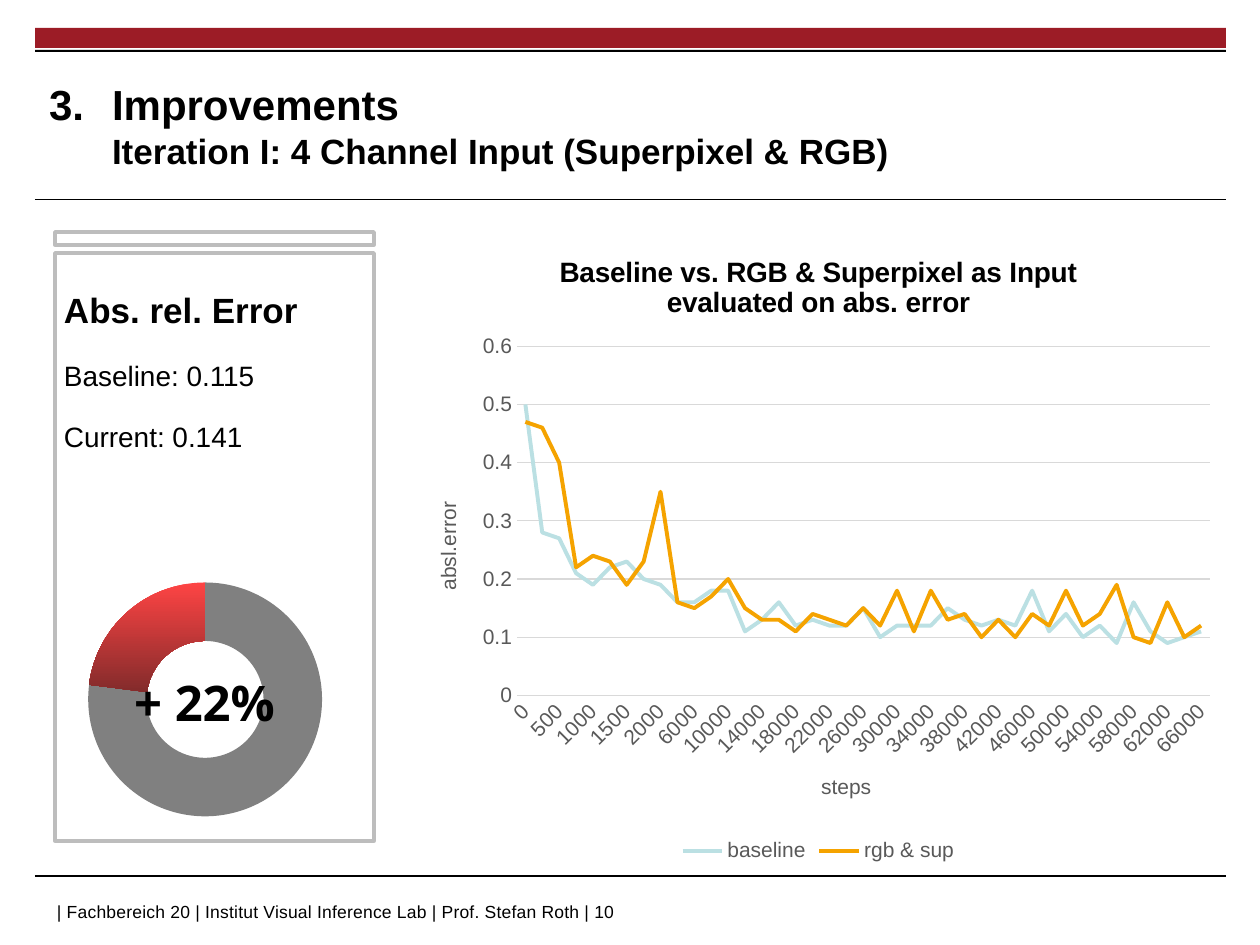
import lxml.etree
import pptx
import pptx.chart.data
import pptx.dml.color
import pptx.enum.chart
import pptx.enum.shapes
import pptx.enum.text
import pptx.oxml.ns
import pptx.util


class Theme:
    red, black, white = "9C1C26", "000000", "FFFFFF"
    frame, ring, grid, label = "BDBDBD", "808080", "D9D9D9", "595959"
    base, sup = "BBE0E3", "F5A300"
    glow, dark = "FE4444", "832B2B"
    face, bold_face = "Arial", "Open Sans"
    head, sub, body, axis, foot, big = 24, 20, 16, 12, 10, 28


px = 914400 / 126
qn = pptx.oxml.ns.qn
Pt = pptx.util.Pt
rgb = pptx.dml.color.RGBColor.from_string
kinds = pptx.enum.chart.XL_CHART_TYPE
rect = pptx.enum.shapes.MSO_SHAPE.RECTANGLE
top, mid = pptx.enum.text.MSO_ANCHOR.TOP, pptx.enum.text.MSO_ANCHOR.MIDDLE


def style(font, size, color=Theme.black, bold=False, face=Theme.face):
    font.size, font.bold, font.name = Pt(size), bold, face
    font.color.rgb = rgb(color)


def place(chart, *parts):
    area = chart._chartSpace.chart.plotArea
    for old in area.findall(qn("c:layout")):
        area.remove(old)
    plan = lxml.etree.Element(qn("c:layout"))
    area.insert(0, plan)
    node = lxml.etree.SubElement(plan, qn("c:manualLayout"))
    tags = ("layoutTarget", "xMode", "yMode", "x", "y", "w", "h")
    for tag, val in zip(tags, ("inner", "edge", "edge") + parts):
        lxml.etree.SubElement(node, qn("c:" + tag)).set("val", str(val))


deck = pptx.Presentation()
deck.slide_width, deck.slide_height = int(1260 * px), int(945 * px)
slide = deck.slides.add_slide(deck.slide_layouts[6])
shapes = slide.shapes

group = shapes.add_group_shape()
for home, spot, fill, edge in (
    (shapes, (35, 28, 1191, 20), Theme.red, None),
    (shapes, (35, 50, 1191, 2), Theme.black, None),
    (group.shapes, (55, 253, 319, 588), Theme.white, Theme.frame),
    (group.shapes, (55, 232, 319, 13), Theme.white, Theme.frame),
):
    box = home.add_shape(rect, *(int(n * px) for n in spot))
    box.shadow.inherit = False
    box.fill.solid()
    box.fill.fore_color.rgb = rgb(fill)
    if edge:
        box.line.color.rgb = rgb(edge)
        box.line.width = Pt(2)
    else:
        box.line.fill.background()

for y in (200, 876):
    ends = (int(n * px) for n in (35, y, 1226, y))
    rule = shapes.add_connector(pptx.enum.shapes.MSO_CONNECTOR.STRAIGHT, *ends)
    rule.line.color.rgb = rgb(Theme.black)
    rule.line.width = Pt(0.6)
    lxml.etree.SubElement(rule._element.spPr, qn("a:effectLst"))

data = pptx.chart.data.CategoryChartData()
data.categories = ["1", "2"]
data.add_series("Series 1", (77, 23))
spot = (int(n * px) for n in (34, 517, 339, 323))
ring = shapes.add_chart(kinds.DOUGHNUT, *spot, data).chart
style(ring.font, Theme.foot)
ring.has_legend = ring.has_title = False
place(ring, 0.16, 0.14, 0.69, 0.87)
ring.plots[0]._element.find(qn("c:holeSize")).set("val", "80")
rest, share = (ring.plots[0].series[0].points[i].format for i in range(2))
rest.fill.solid()
rest.fill.fore_color.rgb = rgb(Theme.ring)
share.fill.gradient()
share.fill.gradient_angle = 270
for stop, color, pos in zip(share.fill.gradient_stops, (Theme.glow, Theme.dark), (0, 1)):
    stop.color.rgb = rgb(color)
    stop.position = pos
for part in (rest, share):
    part.line.fill.background()

steps = [*range(0, 2000, 250), *range(2000, 66001, 2000)]
base = (
    0.5, 0.28, 0.27, 0.21, 0.19, 0.22, 0.23, 0.2, 0.19, 0.16, 0.16, 0.18, 0.18, 0.11,
    0.13, 0.16, 0.12, 0.13, 0.12, 0.12, 0.15, 0.1, 0.12, 0.12, 0.12, 0.15, 0.13, 0.12,
    0.13, 0.12, 0.18, 0.11, 0.14, 0.1, 0.12, 0.09, 0.16, 0.11, 0.09, 0.1, 0.11,
)
sup = (
    0.47, 0.46, 0.4, 0.22, 0.24, 0.23, 0.19, 0.23, 0.35, 0.16, 0.15, 0.17, 0.2, 0.15,
    0.13, 0.13, 0.11, 0.14, 0.13, 0.12, 0.15, 0.12, 0.18, 0.11, 0.18, 0.13, 0.14, 0.1,
    0.13, 0.1, 0.14, 0.12, 0.18, 0.12, 0.14, 0.19, 0.1, 0.09, 0.16, 0.1, 0.12,
)
data = pptx.chart.data.CategoryChartData()
data.categories = [str(n) for n in steps]
data.add_series("baseline", base)
data.add_series("rgb & sup", sup)
spot = (int(n * px) for n in (411, 232, 815, 635))
chart = shapes.add_chart(kinds.LINE, *spot, data).chart
style(chart.font, Theme.axis)
place(chart, 0.13, 0.18, 0.85, 0.55)
chart.plots[0].vary_by_categories = False
for line, color in zip(chart.plots[0].series, (Theme.base, Theme.sup)):
    line.smooth = False
    line.format.line.color.rgb = rgb(color)
    line.format.line.width = Pt(2.25)

chart.has_title = True
par = chart.chart_title.text_frame.paragraphs[0]
for i, text in enumerate(("Baseline vs. RGB & Superpixel as Input", "evaluated on abs. error")):
    if i:
        par.add_line_break()
    run = par.add_run()
    run.text = text
    style(run.font, Theme.body, bold=True)

chart.has_legend = True
chart.legend.position = pptx.enum.chart.XL_LEGEND_POSITION.BOTTOM
chart.legend.include_in_layout = False
style(chart.legend.font, Theme.axis, Theme.label)

across, up = chart.category_axis, chart.value_axis
for axis, text, turn in ((across, "steps", 0), (up, "absl.error", -5400000)):
    frame = axis.axis_title.text_frame
    run = frame.paragraphs[0].add_run()
    run.text = text
    style(run.font, Theme.axis, Theme.label)
    frame._txBody.bodyPr.set("rot", str(turn))
    axis.major_tick_mark = axis.minor_tick_mark = pptx.enum.chart.XL_TICK_MARK.NONE
    style(axis.tick_labels.font, Theme.axis, Theme.label)
    axis.tick_labels.number_format = "General"
    axis.tick_labels.number_format_is_linked = False
up.minimum_scale, up.maximum_scale, up.major_unit = 0, 0.6, 0.1
up.format.line.fill.background()
for line in (across.format.line, up.major_gridlines.format.line):
    line.color.rgb = rgb(Theme.grid)
    line.width = Pt(0.75)
node = across._element
node.find(qn("c:txPr")).find(qn("a:bodyPr")).set("rot", "-2700000")
skip = lxml.etree.Element(qn("c:tickLblSkip"))
skip.set("val", "2")
node.find(qn("c:noMultiLvlLbl")).addprevious(skip)

foot = "| Fachbereich 20 | Institut Visual Inference Lab | Prof. Stefan Roth | 10"
frames = []
for spot, pads, hold, rows, space in (
    ((49, 67, 915, 116), (0, 0, 0, 0), mid, [("Improvements", Theme.head, True)], 1),
    ((64, 271, 299, 184), (0, 5, 30, 5), top, [
        ("Abs. rel. Error", Theme.sub, True),
        ("Baseline: 0.115", Theme.body, False),
        ("Current: 0.141", Theme.body, False),
    ], 1.3),
    ((115, 656, 179, 72), (13, 0, 13, 6), mid, [("+ 22%", Theme.big, True)], 1.45),
    ((57, 895, 970, 32), (0, 0, 0, 0), mid, [(foot, Theme.foot, False)], 1),
):
    frame = shapes.add_textbox(*(int(n * px) for n in spot)).text_frame
    frames.append(frame)
    frame.word_wrap = True
    frame.vertical_anchor = hold
    frame.margin_left, frame.margin_top, frame.margin_right, frame.margin_bottom = (
        int(n * px) for n in pads
    )
    for i, (text, size, bold) in enumerate(rows):
        par = frame.add_paragraph() if i else frame.paragraphs[0]
        par.line_spacing = space
        if i:
            par.space_before = Pt(10)
        run = par.add_run()
        run.text = text
        style(run.font, size, bold=bold)

title, facts, gain, foot = (frame.paragraphs[0] for frame in frames)
props = title._p.get_or_add_pPr()
props.set("marL", str(int(63 * px)))
props.set("indent", str(int(-63 * px)))
mark = lxml.etree.SubElement(props, qn("a:buAutoNum"))
mark.set("type", "arabicPeriod")
mark.set("startAt", "3")
title.add_line_break()
run = title.add_run()
run.text = "Iteration I: 4 Channel Input (Superpixel & RGB)"
style(run.font, Theme.sub, bold=True)
gain.alignment = pptx.enum.text.PP_ALIGN.CENTER
gain.runs[0].font.name = Theme.bold_face
foot.runs[0].font._element.set("spc", "15")

deck.save("out.pptx")
